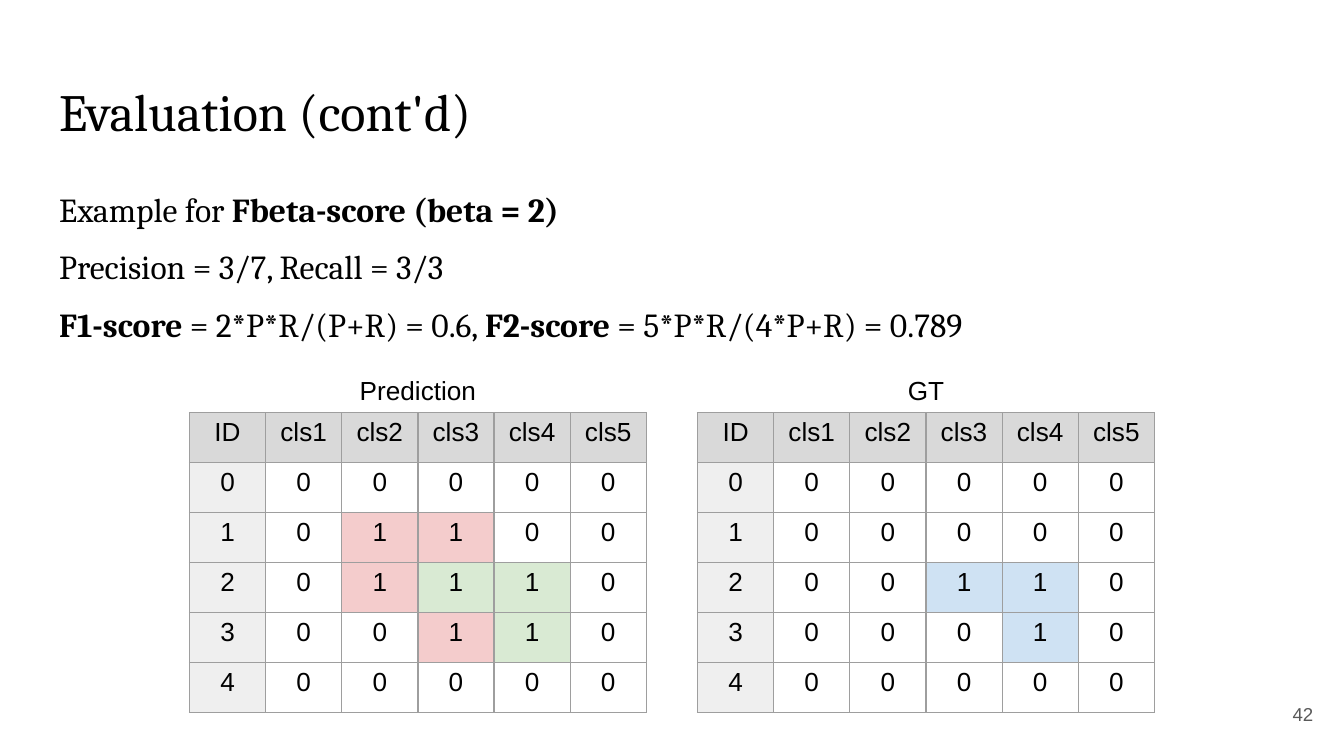
from lxml import etree
from pptx import Presentation
from pptx.dml.color import RGBColor
from pptx.enum.text import MSO_ANCHOR, MSO_AUTO_SIZE, PP_ALIGN
from pptx.oxml.ns import qn
from pptx.util import Inches, Pt

LEFT, CENTER, RIGHT = PP_ALIGN.LEFT, PP_ALIGN.CENTER, PP_ALIGN.RIGHT
TOP, MIDDLE = MSO_ANCHOR.TOP, MSO_ANCHOR.MIDDLE
NO_AUTOFIT = MSO_AUTO_SIZE.NONE

SERIF, SANS = "Cambria", "Arial"
WHITE, HEADER, ID_COLUMN, BORDER = "FFFFFF", "D9D9D9", "EFEFEF", "9E9E9E"
RED, GREEN, BLUE = "F4CCCC", "D9EAD3", "CFE2F3"


def rgb(hex_color):
    return RGBColor.from_string(hex_color)


def write(tf, *lines, size=14, font=SANS, color="000000", align=CENTER,
          anchor=MIDDLE, spacing=1.0, before=0):
    """Fill a text frame; a line is a string or a list of (text, bold) runs."""
    tf.word_wrap = True
    tf.auto_size = NO_AUTOFIT
    tf.vertical_anchor = anchor
    tf.margin_left = tf.margin_right = Inches(0.1)
    tf.margin_top = tf.margin_bottom = Inches(0.1)
    for i, line in enumerate(lines):
        p = tf.add_paragraph() if i else tf.paragraphs[0]
        p.alignment = align
        p.line_spacing = spacing
        p.space_before = Pt(before if i else 0)
        for text, bold in [(line, False)] if isinstance(line, str) else line:
            r = p.add_run()
            r.text = text
            r.font.size = Pt(size)
            r.font.name = font
            r.font.bold = bold
            r.font.color.rgb = rgb(color)


prs = Presentation()
prs.slide_width, prs.slide_height = Inches(10), Inches(10 * 9 / 16)
s = prs.slides.add_slide(prs.slide_layouts[1])

# Title and body
title, body = s.shapes.title, s.placeholders[1]
for sp, top, height in [(title, 0.49, 0.63), (body, 1.26, 3.74)]:
    sp.left, sp.top = Inches(0.34), Inches(top)
    sp.width, sp.height = Inches(9.32), Inches(height)

write(title.text_frame, "Evaluation (cont'd)",
      size=28, font=SERIF, align=LEFT, anchor=TOP)
write(body.text_frame,
      [("Example for ", False), ("Fbeta-score (beta = 2)", True)],
      "Precision = 3/7, Recall = 3/3",
      [("F1-score", True), (" = 2*P*R/(P+R) = 0.6, ", False),
       ("F2-score", True), (" = 5*P*R/(4*P+R) = 0.789", False)],
      size=18, font=SERIF, align=LEFT, anchor=TOP, spacing=1.15, before=6)
for p in body.text_frame.paragraphs:
    pPr = p._p.get_or_add_pPr()
    pPr.set("marL", "0")
    pPr.set("indent", "0")
    etree.SubElement(pPr, qn("a:buNone"))

# Tables: each highlighted (ID, class) cell holds a 1, all others a 0
prediction = {(1, 2): RED, (1, 3): RED, (2, 2): RED, (3, 3): RED,
              (2, 3): GREEN, (2, 4): GREEN, (3, 4): GREEN}
ground_truth = {(2, 3): BLUE, (2, 4): BLUE, (3, 4): BLUE}
N = 6
TABLE_W, TABLE_H = 3.4, 2.23

for caption, left, hits in [("Prediction", 1.41, prediction),
                            ("GT", 5.19, ground_truth)]:
    table = s.shapes.add_table(N, N, Inches(left), Inches(3.07),
                               Inches(TABLE_W), Inches(TABLE_H)).table
    table.first_row = table.horz_banding = False
    for row in range(N):
        for col in range(N):
            key = (row - 1, col)
            if row == 0:
                text, fill = f"cls{col}" if col else "ID", HEADER
            elif col == 0:
                text, fill = str(row - 1), ID_COLUMN
            else:
                text, fill = str(int(key in hits)), hits.get(key, WHITE)
            cell = table.cell(row, col)
            write(cell.text_frame, text, spacing=0.5)
            cell.vertical_anchor = MIDDLE
            cell.margin_left = cell.margin_right = Inches(0.1)
            cell.margin_top = cell.margin_bottom = Inches(0.1)
            tcPr = cell._tc.get_or_add_tcPr()
            for side in ("a:lnL", "a:lnR", "a:lnT", "a:lnB"):
                ln = etree.SubElement(tcPr, qn(side), w=str(Pt(0.75)))
                solid = etree.SubElement(ln, qn("a:solidFill"))
                etree.SubElement(solid, qn("a:srgbClr"), val=BORDER)
            cell.fill.solid()
            cell.fill.fore_color.rgb = rgb(fill)

    label = s.shapes.add_textbox(Inches(left + 0.88), Inches(2.74),
                                 Inches(1.64), Inches(0.33))
    write(label.text_frame, caption)

# Slide number
number = s.shapes.add_textbox(Inches(9.27), Inches(5.1), Inches(0.6), Inches(0.43))
write(number.text_frame, "42", size=10, color="595959", align=RIGHT)

prs.save("out.pptx")
